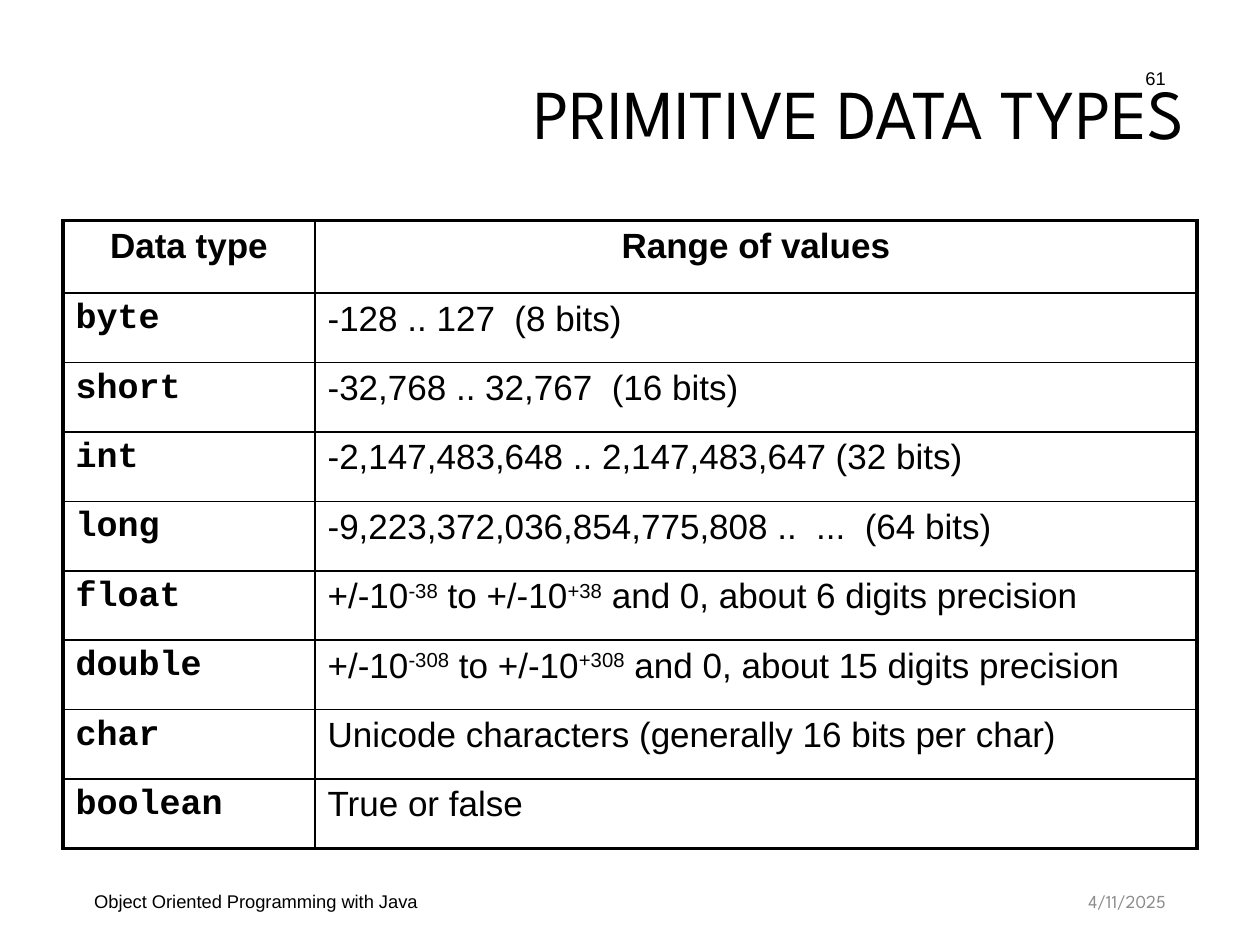
from lxml import etree
from pptx import Presentation
from pptx.dml.color import RGBColor
from pptx.enum.text import MSO_ANCHOR, PP_ALIGN
from pptx.oxml.ns import qn
from pptx.util import Cm, Pt

LEFT, CENTER, RIGHT, JUSTIFY = PP_ALIGN.LEFT, PP_ALIGN.CENTER, PP_ALIGN.RIGHT, PP_ALIGN.JUSTIFY
MIDDLE = MSO_ANCHOR.MIDDLE
COLORS = {"ink": "000000", "date": "8C8C8C"}
BODY_FONT, CODE_FONT, DISPLAY_FONT = "Arial", "Courier New", "League Spartan"
BLANK_LAYOUT = 6
THIN, THICK = Pt(1), Pt(2.25)

HEADERS = ("Data type", "Range of values")
DATA_TYPES = {
    "byte": ["-128 .. 127  (8 bits)"],
    "short": ["-32,768 .. 32,767  (16 bits)"],
    "int": ["-2,147,483,648 .. 2,147,483,647 (32 bits)"],
    "long": ["-9,223,372,036,854,775,808 ..  ...  (64 bits)"],
    "float": ["+/-10", "-38", " to +/-10", "+38", " and 0, about 6 digits precision"],
    "double": ["+/-10", "-308", " to +/-10", "+308", " and 0, about 15 digits precision"],
    "char": ["Unicode characters (generally 16 bits per char)"],
    "boolean": ["True or false"],
}


def write_text(frame, pieces, font=BODY_FONT, size=20, color="ink", bold=False,
               align=LEFT, line_spacing=None):
    """Write pieces as one paragraph, raising every second piece to superscript."""
    paragraph = frame.paragraphs[0]
    paragraph.alignment = align
    paragraph.line_spacing = line_spacing
    for index, piece in enumerate(pieces):
        run = paragraph.add_run()
        run.text = piece
        run.font.name = font
        run.font.size = Pt(size)
        run.font.bold = bold
        run.font.color.rgb = RGBColor.from_string(COLORS[color])
        if index % 2:
            run.font._element.set("baseline", "30000")


def add_label(slide, box, text, **text_format):
    """Add a wrapped, vertically centred text box."""
    frame = slide.shapes.add_textbox(*map(Cm, box)).text_frame
    frame.word_wrap = True
    frame.vertical_anchor = MIDDLE
    write_text(frame, [text], **text_format)


def set_borders(cell, widths):
    """Draw solid cell borders from a mapping of side to width."""
    properties = cell._tc.get_or_add_tcPr()
    for side, width in widths.items():
        line = etree.SubElement(properties, qn(f"a:ln{side}"), w=str(width))
        fill = etree.SubElement(line, qn("a:solidFill"))
        etree.SubElement(fill, qn("a:srgbClr"), val=COLORS["ink"])


def add_type_table(slide, box):
    """Add the table of types and ranges with a thick outer frame."""
    left, top, width, height = box
    last_row = len(DATA_TYPES)
    shape = slide.shapes.add_table(last_row + 1, 2, *map(Cm, box))
    table = shape.table
    table.first_row = table.horz_banding = False
    name_width, row_height = 5.08, 1.4
    table.columns[0].width = Cm(name_width)
    table.columns[1].width = Cm(width - name_width)
    for row in table.rows:
        row.height = Cm(row_height)
    table.rows[0].height = Cm(height - last_row * row_height)

    rows = [[[header] for header in HEADERS]]
    rows += [[[name], values] for name, values in DATA_TYPES.items()]
    for row_index, row in enumerate(rows):
        for column_index, pieces in enumerate(row):
            cell = table.cell(row_index, column_index)
            is_header, is_name = row_index == 0, column_index == 0
            write_text(cell.text_frame, pieces,
                       font=CODE_FONT if is_name and not is_header else BODY_FONT,
                       bold=is_header or is_name,
                       align=CENTER if is_header else JUSTIFY)
            set_borders(cell, {
                "L": THICK if is_name else THIN,
                "R": THIN if is_name else THICK,
                "T": THICK if is_header else THIN,
                "B": THICK if row_index == last_row else THIN,
            })
            cell.fill.background()


def add_footer(slide, box):
    """Add the course name and the date along the bottom."""
    left, top, width, height = box
    date_width = 5.94
    add_label(slide, (left, top, 15.77, height),
              "Object Oriented Programming with Java", size=10.5)
    add_label(slide, (left + width - date_width, top, date_width, height), "4/11/2025",
              font=DISPLAY_FONT, size=10.5, color="date", align=RIGHT)


def main():
    """Build and save the slide."""
    presentation = Presentation()
    presentation.slide_width, presentation.slide_height = Cm(25.4), Cm(19.05)
    slide = presentation.slides.add_slide(presentation.slide_layouts[BLANK_LAYOUT])
    add_label(slide, (1.27, 0.76, 22.86, 3.18), "PRIMITIVE DATA TYPES",
              font=DISPLAY_FONT, size=40, align=RIGHT, line_spacing=0.9)
    add_type_table(slide, (1.27, 4.45, 22.86, 12.66))
    add_footer(slide, (1.65, 17.65, 22.1, 1.02))
    add_label(slide, (18.26, 1.07, 5.49, 1.02), "61", size=10.5, align=RIGHT)
    presentation.save("out.pptx")


if __name__ == "__main__":
    main()
